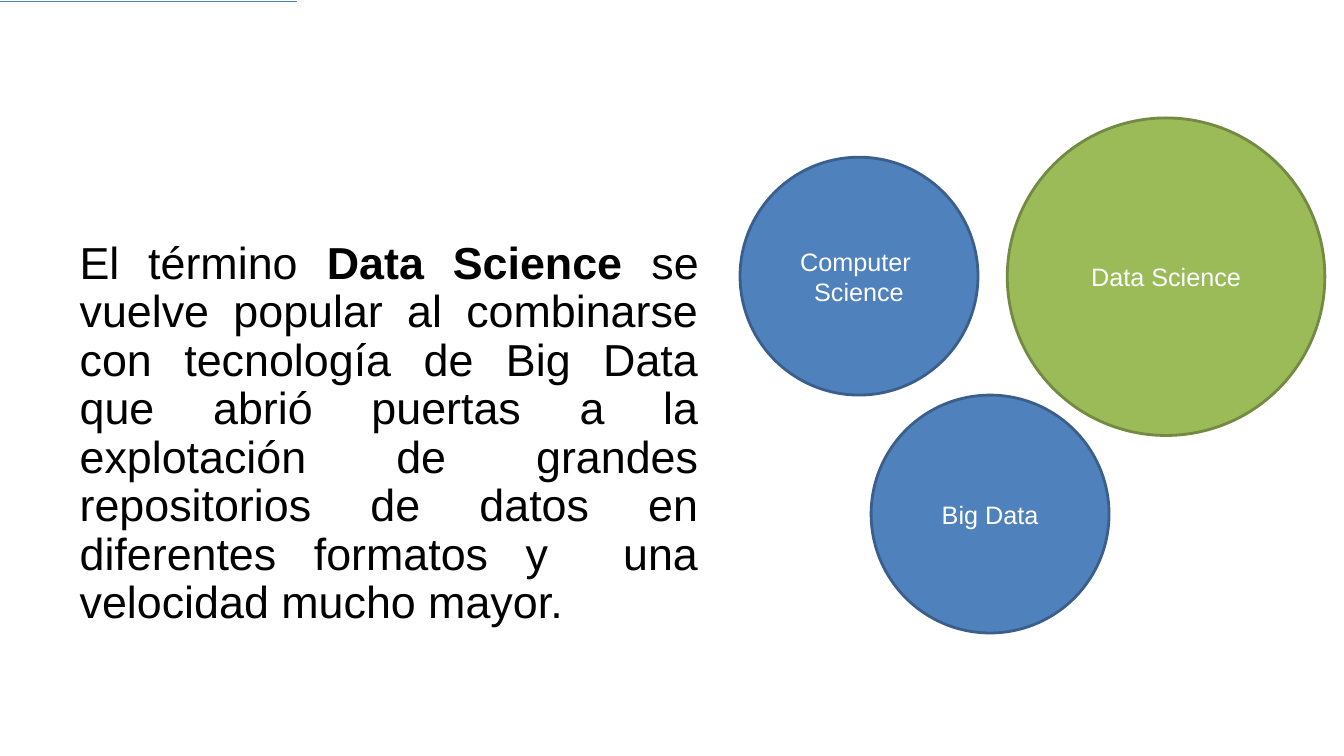
from pptx import Presentation
from pptx.dml.color import RGBColor
from pptx.enum import shapes, text
from pptx.oxml import ns
from pptx.util import Inches, Pt
from lxml import etree

BLUE = ("4F81BD", "3A5F8C")
GREEN = ("9BBB59", "738A42")


def color(code):
    return RGBColor.from_string(code)


class Page:
    font = "Arial"

    def __init__(self, slide):
        self.items = slide.shapes

    def style(self, para, size, code, align):
        para.alignment = align
        for run in para.runs:
            run.font.name = self.font
            run.font.size = Pt(size)
            run.font.color.rgb = color(code)

    def circle(self, label, left, top, size, tones, wrap=True):
        """Add a labelled circle; tones holds its fill and line colours."""
        disc = self.items.add_shape(shapes.MSO_SHAPE.OVAL, Inches(left),
                                    Inches(top), Inches(size), Inches(size))
        disc.shadow.inherit = False
        fill, edge = tones
        disc.fill.solid()
        disc.fill.fore_color.rgb = color(fill)
        disc.line.color.rgb = color(edge)
        disc.line.width = Pt(2)
        frame = disc.text_frame
        frame.text = label
        frame.word_wrap = wrap
        frame.vertical_anchor = text.MSO_ANCHOR.MIDDLE
        for para in frame.paragraphs:
            self.style(para, 18, "FFFFFF", text.PP_ALIGN.CENTER)

    def prose(self, parts, left, top, width, height):
        """Add a justified paragraph from (words, bold) parts."""
        box = self.items.add_textbox(Inches(left), Inches(top),
                                     Inches(width), Inches(height))
        frame = box.text_frame
        frame.word_wrap = True
        frame.vertical_anchor = text.MSO_ANCHOR.MIDDLE
        frame.margin_left = frame.margin_right = 0
        frame.margin_top = frame.margin_bottom = 0
        para = frame.paragraphs[0]
        para.line_spacing = 0.9
        for words, bold in parts:
            run = para.add_run()
            run.text = words
            run.font.bold = bold
        self.style(para, 32, "000000", text.PP_ALIGN.JUSTIFY)

    def rule(self, left, top, width, code):
        line = self.items.add_connector(
            shapes.MSO_CONNECTOR.STRAIGHT, Inches(left), Inches(top),
            Inches(left + width), Inches(top))
        line.line.color.rgb = color(code)
        line.line.width = Pt(0.75)
        props = line._element.find(ns.qn("p:spPr"))
        etree.SubElement(props, ns.qn("a:effectLst"))


def main():
    deck = Presentation()
    deck.slide_width = Inches(13.33)
    deck.slide_height = Inches(7.5)
    page = Page(deck.slides.add_slide(deck.slide_layouts[6]))

    page.circle("Data Science", 9.99, 1.17, 3.15, GREEN)
    page.circle("Computer \nScience", 7.34, 1.56, 2.36, BLUE, wrap=False)
    page.circle("Big Data", 8.64, 3.92, 2.36, BLUE)
    page.prose([
        ("El término ", False),
        ("Data Science ", True),
        ("se vuelve popular al combinarse con tecnología de Big Data que "
         "abrió puertas a la explotación de grandes repositorios de datos "
         "en diferentes formatos y  una velocidad mucho mayor.", False),
    ], 0.79, 3.02, 6.14, 2.58)
    page.rule(0, 0.02, 2.95, "4B7EBC")

    deck.save("out.pptx")


if __name__ == "__main__":
    main()
